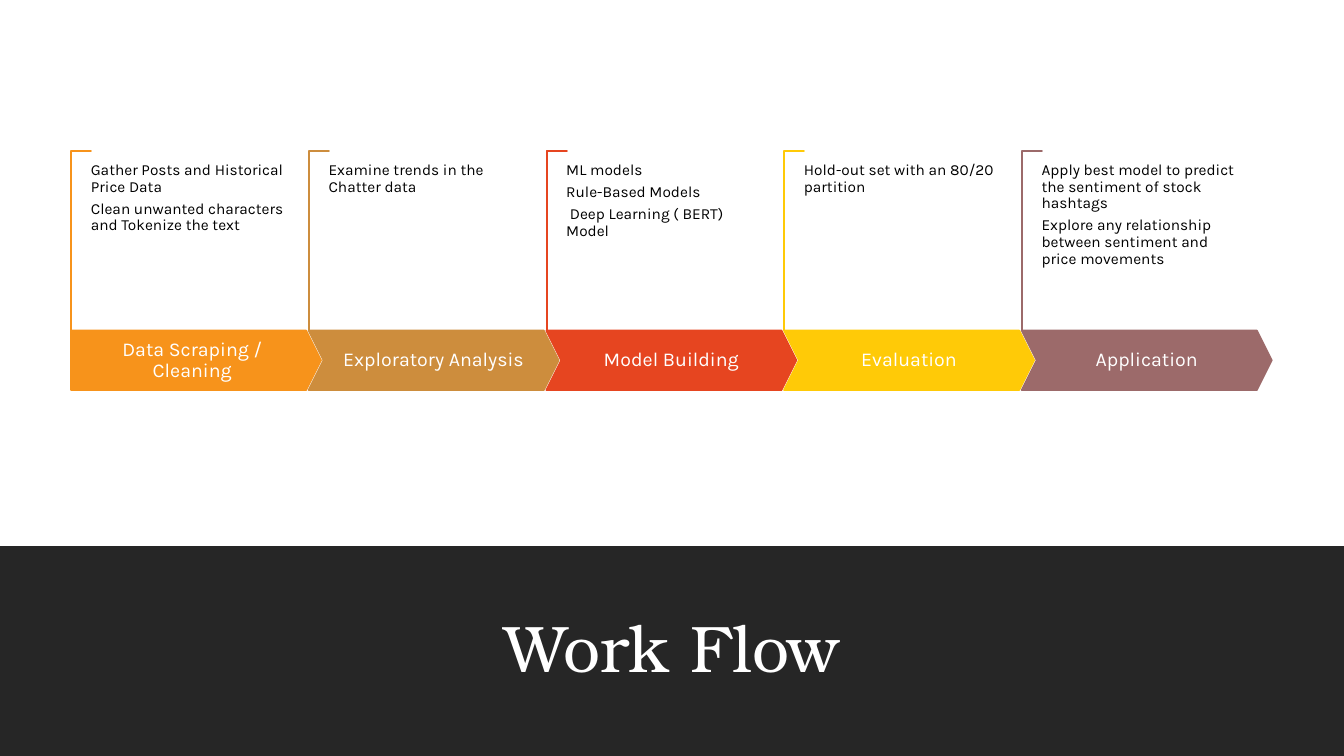
from pptx import Presentation
from pptx.dml.color import RGBColor
from pptx.enum.shapes import MSO_SHAPE
from pptx.enum.text import MSO_ANCHOR, PP_ALIGN
from pptx.util import Cm, Pt

RECT, CORNER = MSO_SHAPE.RECTANGLE, MSO_SHAPE.CORNER
PLATE, CHEVRON = MSO_SHAPE.PENTAGON, MSO_SHAPE.CHEVRON
TOP, MIDDLE, BOTTOM = MSO_ANCHOR.TOP, MSO_ANCHOR.MIDDLE, MSO_ANCHOR.BOTTOM
LEFT, CENTER = PP_ALIGN.LEFT, PP_ALIGN.CENTER

WIDE, HIGH = 33.87, 19.05
SERIF, SANS = "TeX Gyre Bonum", "Karla"
WHITE, BLACK, DARK = "FFFFFF", "000000", "262626"

STEPS = [
    ("Data Scraping / Cleaning", "F7931B",
     ["Gather Posts and Historical Price Data",
      "Clean unwanted characters and Tokenize the text"]),
    ("Exploratory Analysis", "CD8D3D",
     ["Examine trends in the Chatter data"]),
    ("Model Building", "E64520",
     ["ML models", "Rule-Based Models", " Deep Learning ( BERT) Model"]),
    ("Evaluation", "FFCA07",
     ["Hold-out set with an 80/20 partition"]),
    ("Application", "9C6A6A",
     ["Apply best model to predict the sentiment of stock hashtags",
      "Explore any relationship between sentiment and price movements"]),
]


def paint(color):
    return RGBColor.from_string(color)


def add_form(slide, kind, x, y, w, h, fill, line=None, adjust=()):
    form = slide.shapes.add_shape(kind, Cm(x), Cm(y), Cm(w), Cm(h))
    form.shadow.inherit = False
    form.fill.solid()
    form.fill.fore_color.rgb = paint(fill)
    if line:
        form.line.color.rgb = paint(line)
        form.line.width = Pt(1.25)
    else:
        form.line.fill.background()
    for i, value in enumerate(adjust):
        form.adjustments[i] = value
    return form


def write(shape, lines, font, size, color, align, anchor, inset=(0, 0)):
    frame = shape.text_frame
    frame.word_wrap = True
    frame.vertical_anchor = anchor
    frame.margin_left = frame.margin_right = Cm(inset[0])
    frame.margin_top = frame.margin_bottom = Cm(inset[1])
    for i, line in enumerate(lines):
        para = frame.paragraphs[0] if i == 0 else frame.add_paragraph()
        para.alignment = align
        para.line_spacing = 0.9
        if i:
            para.space_before = Pt(3.9)
        run = para.add_run()
        run.text = line
        run.font.name = font
        run.font.size = Pt(size)
        run.font.color.rgb = paint(color)


def add_box(slide, x, y, w, h):
    return slide.shapes.add_textbox(Cm(x), Cm(y), Cm(w), Cm(h))


def add_step(slide, x, y, w, h, kind, step):
    name, color, notes = step
    bar = 1.5
    stem, tip = h - bar, 0.51

    # Bracket: a corner shape turned a quarter about its centre
    turn = add_form(slide, CORNER, x + (tip - stem) / 2, y + (stem - tip) / 2,
                    stem, tip, WHITE, color, (0.01, 0.01))
    turn.rotation = 90

    # Arrow with the name of the step
    arrow = add_form(slide, kind, x, y + stem, w, bar, color, color, (0.25,))
    write(arrow, [name], SANS, 14, WHITE, CENTER, MIDDLE, (0.25, 0))

    # Notes inside the bracket
    box = add_box(slide, x + 0.5, y + 0.28, 5.13, 2.77)
    write(box, notes, SANS, 11, BLACK, LEFT, TOP)


def add_flow(slide, x, y, w, h):
    part = 6.3
    pitch = (w - part) / (len(STEPS) - 1)
    for i, step in enumerate(STEPS):
        kind = CHEVRON if i else PLATE
        add_step(slide, x + i * pitch, y, part, h, kind, step)


def add_title(slide, x, y, w, h):
    add_form(slide, RECT, x, y, w, h, DARK)
    side = 2.97
    box = add_box(slide, x + side, y + 0.81, w - 2 * side, 2.87)
    write(box, ["Work Flow"], SERIF, 47, WHITE, CENTER, BOTTOM, (0.25, 0.13))


def main():
    deck = Presentation()
    deck.slide_width, deck.slide_height = Cm(WIDE), Cm(HIGH)
    slide = deck.slides.add_slide(deck.slide_layouts[6])
    slide.background.fill.solid()
    slide.background.fill.fore_color.rgb = paint(WHITE)

    band = 13.76
    add_title(slide, 0, band, WIDE, HIGH - band)
    add_flow(slide, 1.79, 3.81, 30.26, 6.02)
    deck.save("out.pptx")


if __name__ == "__main__":
    main()
